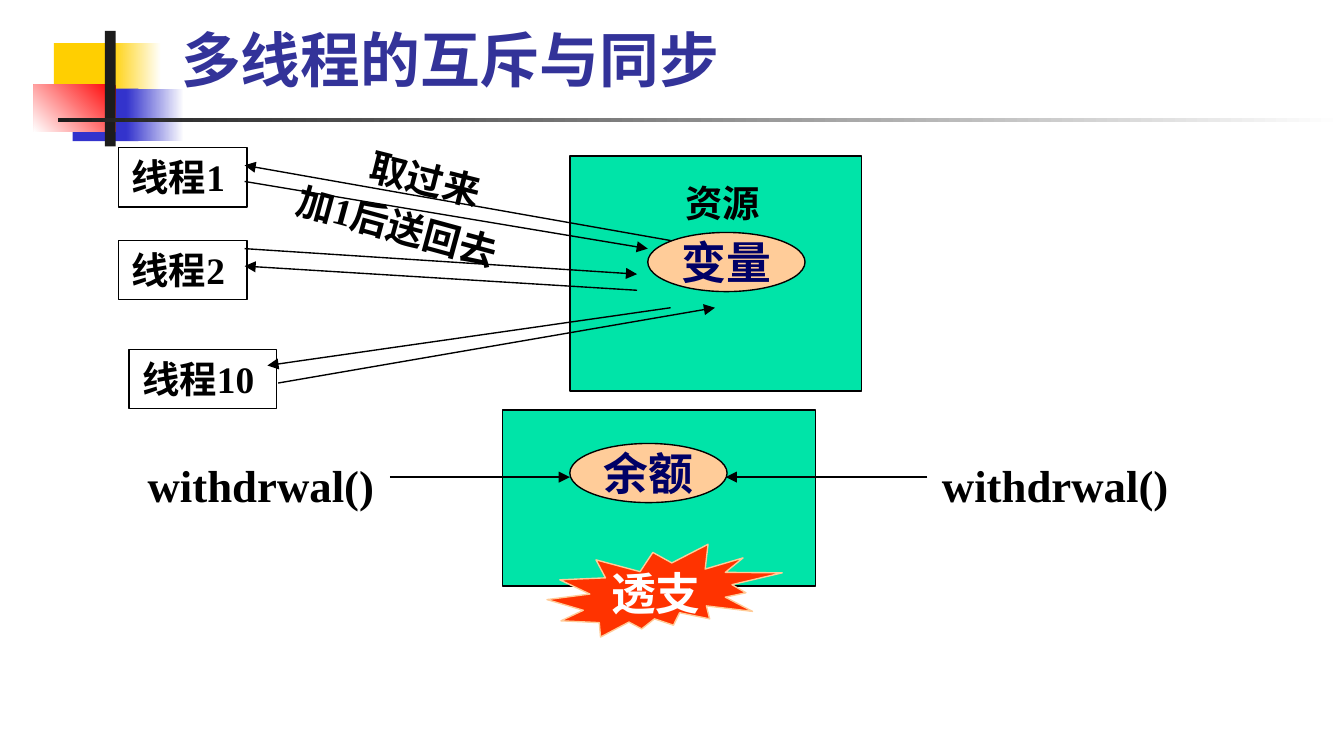
"""Build a slide on mutual exclusion and synchronisation of threads."""
from lxml.etree import SubElement
from pptx import Presentation
from pptx.dml.color import RGBColor
from pptx.enum.shapes import MSO_CONNECTOR, MSO_SHAPE
from pptx.enum.text import MSO_ANCHOR, MSO_AUTO_SIZE, PP_ALIGN
from pptx.oxml.ns import qn
from pptx.util import Inches, Pt

BLACK = RGBColor(0x00, 0x00, 0x00)
WHITE = RGBColor(0xFF, 0xFF, 0xFF)
CHARCOAL = RGBColor(0x1C, 0x1C, 0x1C)
YELLOW = RGBColor(0xFF, 0xCF, 0x01)
BLUE = RGBColor(0x33, 0x33, 0xCC)
RED = RGBColor(0xFF, 0x00, 0x00)
INDIGO = RGBColor(0x33, 0x33, 0x99)
NAVY = RGBColor(0x00, 0x00, 0x66)
GREEN = RGBColor(0x00, 0xE4, 0xA8)
PEACH = RGBColor(0xFF, 0xCC, 0x99)
ORANGE = RGBColor(0xFF, 0x33, 0x00)
BODY_FONT = "Times New Roman"
TITLE_FONT = "Roboto"

DECORATIONS = [
    ((0.4, 0.32, 0.51, 0.39), (YELLOW,), 0),
    ((0.82, 0.32, 0.38, 0.39), (WHITE, YELLOW), 180),
    ((0.54, 0.66, 0.49, 0.39), (BLUE,), 0),
    ((0.94, 0.66, 0.43, 0.39), (WHITE, BLUE), 180),
    ((0.25, 0.63, 0.61, 0.35), (RED, WHITE), 225),
    ((0.78, 0.23, 0.08, 0.86), (CHARCOAL,), 0),
    ((0.43, 0.88, 9.57, 0.03), (WHITE, CHARCOAL), 180),
]
THREADS = [
    ("线程1", (0.88, 1.1, 0.96, 0.44)),
    ("线程2", (0.88, 1.79, 0.96, 0.44)),
    ("线程10", (0.96, 2.6, 1.1, 0.44)),
]
LABELS = [
    ("资源", (5, 1.29, 0.75, 0.44), 20, 0),
    ("取过来", (2.65, 1.11, 1.03, 0.44), 20, 14.1),
    ("加1后送回去", (2.09, 1.48, 1.86, 0.44), 20, 15.2),
    ("withdrwal()", (1, 3.36, 1.88, 0.5), 24, 0),
    ("withdrwal()", (6.91, 3.36, 1.88, 0.5), 24, 0),
]
ARROWS = [
    ((1.82, 1.35), (4.82, 1.85)),
    ((4.99, 1.79), (1.82, 1.23)),
    ((1.82, 1.85), (4.74, 2.04)),
    ((4.74, 2.16), (1.82, 1.98)),
    ((2.07, 2.85), (5.32, 2.29)),
    ((4.99, 2.29), (1.99, 2.72)),
    ((2.9, 3.55), (4.24, 3.55)),
    ((6.9, 3.55), (5.4, 3.55)),
]


def write_text(shape, text, size, color=BLACK, font_name=BODY_FONT,
               anchor=MSO_ANCHOR.TOP, align=PP_ALIGN.LEFT, wrap=False):
    """Fill a shape with one bold paragraph."""
    text_frame = shape.text_frame
    text_frame.text = text
    text_frame.word_wrap = wrap
    text_frame.vertical_anchor = anchor
    paragraph = text_frame.paragraphs[0]
    paragraph.alignment = align
    font = paragraph.runs[0].font
    font.name, font.size, font.bold = font_name, Pt(size), True
    font.color.rgb = color


def add_box(slide, kind, box, fill, line=BLACK):
    """Add a filled preset shape, outlined unless line is None."""
    shape = slide.shapes.add_shape(kind, *map(Inches, box))
    shape.shadow.inherit = False
    shape.fill.solid()
    shape.fill.fore_color.rgb = fill
    if line is None:
        shape.line.fill.background()
    else:
        shape.line.color.rgb = line
        shape.line.width = Pt(0.75)
    return shape


def add_decoration(slide, box, colors, angle):
    """Add a plain or two-colour gradient block."""
    shape = add_box(slide, MSO_SHAPE.RECTANGLE, box, colors[0], None)
    if len(colors) > 1:
        shape.fill.gradient()
        shape.fill.gradient_angle = angle
        for stop, color in zip(shape.fill.gradient_stops, colors):
            stop.color.rgb = color


def add_title(slide, text):
    """Add the slide title."""
    title = slide.shapes.add_textbox(Inches(1.25), Inches(0.19), Inches(6.74), Inches(0.56))
    write_text(title, text, 32, INDIGO, TITLE_FONT, MSO_ANCHOR.BOTTOM, wrap=True)


def add_thread(slide, text, box):
    """Add a white box that names a thread."""
    shape = add_box(slide, MSO_SHAPE.RECTANGLE, box, WHITE)
    write_text(shape, text, 20)
    shape.text_frame.auto_size = MSO_AUTO_SIZE.SHAPE_TO_FIT_TEXT


def add_label(slide, text, box, size, rotation):
    """Add a free one-line label, turned by rotation degrees."""
    label = slide.shapes.add_textbox(*map(Inches, box))
    label.rotation = rotation
    write_text(label, text, size, wrap=True)
    label.text_frame.margin_right = 0


def add_arrow(slide, start, end):
    """Add a thin black arrow pointing at end."""
    arrow = slide.shapes.add_connector(MSO_CONNECTOR.STRAIGHT, *map(Inches, start + end))
    arrow.line.color.rgb = BLACK
    arrow.line.width = Pt(0.75)
    outline = arrow._element.spPr.find(qn("a:ln"))
    SubElement(outline, qn("a:tailEnd"), type="triangle")
    SubElement(arrow._element.spPr, qn("a:effectLst"))


def add_centred(slide, kind, text, box, fill, line, color):
    """Add a shape with large centred text."""
    shape = add_box(slide, kind, box, fill, line)
    write_text(shape, text, 24, color, anchor=MSO_ANCHOR.MIDDLE, align=PP_ALIGN.CENTER)


def main():
    """Compose the slide and save it."""
    presentation = Presentation()
    presentation.slide_width = Inches(10)
    presentation.slide_height = Inches(10 * 9 / 16)
    slide = presentation.slides.add_slide(presentation.slide_layouts[6])

    for decoration in DECORATIONS:
        add_decoration(slide, *decoration)
    add_title(slide, "多线程的互斥与同步")
    for thread in THREADS:
        add_thread(slide, *thread)
    for resource in [(4.24, 1.16, 2.17, 1.75), (3.74, 3.05, 2.33, 1.31)]:
        add_box(slide, MSO_SHAPE.RECTANGLE, resource, GREEN)
    for label in LABELS:
        add_label(slide, *label)
    for arrow in ARROWS:
        add_arrow(slide, *arrow)
    add_centred(slide, MSO_SHAPE.EXPLOSION2, "透支", (4.07, 4.05, 1.75, 0.69),
                ORANGE, PEACH, WHITE)
    for text, left, top in [("余额", 4.24, 3.3), ("变量", 4.82, 1.73)]:
        add_centred(slide, MSO_SHAPE.OVAL, text, (left, top, 1.17, 0.44),
                    PEACH, BLACK, NAVY)

    presentation.save("out.pptx")


if __name__ == "__main__":
    main()
